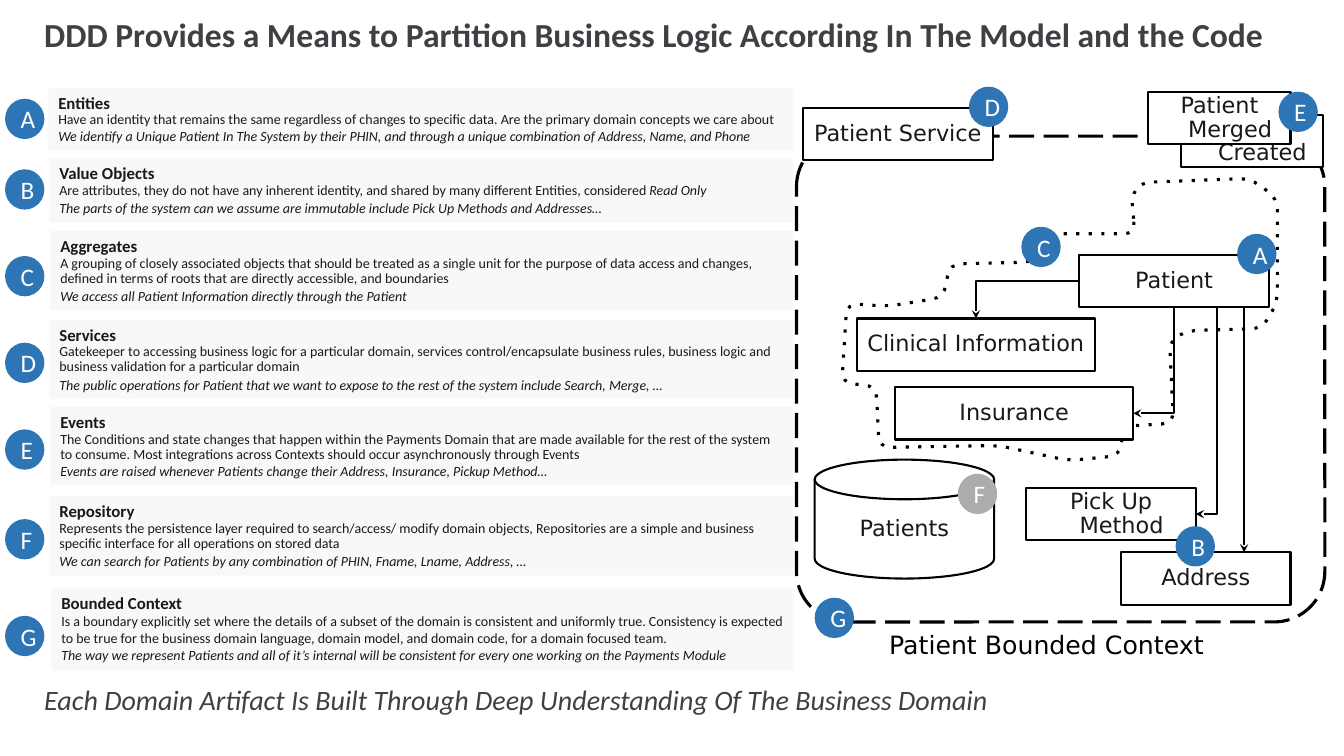
import dataclasses
import math

import pptx
import pptx.util
import pptx.dml.color
import pptx.enum.dml
import pptx.enum.shapes
import pptx.enum.text
import pptx.oxml.ns
from lxml import etree

Inches = pptx.util.Inches
Pt = pptx.util.Pt
RGBColor = pptx.dml.color.RGBColor
Shape = pptx.enum.shapes.MSO_SHAPE
Connector = pptx.enum.shapes.MSO_CONNECTOR
Dash = pptx.enum.dml.MSO_LINE
Anchor = pptx.enum.text.MSO_ANCHOR
Align = pptx.enum.text.PP_ALIGN
qn = pptx.oxml.ns.qn

WHITE = RGBColor(0xFF, 0xFF, 0xFF)
BLACK = RGBColor(0, 0, 0)
INK = RGBColor(0x19, 0x19, 0x19)
SLATE = RGBColor(0x3E, 0x40, 0x43)
PALE = RGBColor(0xF8, 0xF8, 0xF8)
BLUE = RGBColor(0x2E, 0x75, 0xB5)
GREY = RGBColor(0xAE, 0xAB, 0xAB)
BODY_FONT = "Calibri"
DIAGRAM_FONT = "DejaVu Sans"
CARD_RIGHT = 7.87
CORNER_RADIUS = 0.12
CURVE_STEPS = 4


@dataclasses.dataclass
class Card:
    letter: str
    badge_top: float
    left: float
    top: float
    height: float
    heading: str
    body: str
    note: str
    emphasis: str = ""
    body_spacing: float = 0.9
    note_spacing: float = 1.0
    note_before: int = 1


@dataclasses.dataclass
class Node:
    text: str
    left: float
    top: float
    width: float
    height: float = 0.52
    kind: Shape = Shape.RECTANGLE

    def at(self, across, down):
        return self.left + across * self.width, self.top + down * self.height


CARDS = [
    Card("A", 0.98, 0.48, 0.87, 0.62, "Entities",
         "Have an identity that remains the same regardless of changes to specific data. Are the primary domain concepts we care about",
         "We identify a Unique Patient In The System by their PHIN, and through a unique combination of Address, Name, and Phone",
         note_spacing=0.9),
    Card("B", 1.68, 0.49, 1.57, 0.64, "Value Objects",
         "Are attributes, they do not have any inherent identity, and shared by many different Entities, considered ",
         "The parts of the system can we assume are immutable include Pick Up Methods and Addresses…",
         emphasis="Read Only"),
    Card("C", 2.54, 0.5, 2.29, 0.79, "Aggregates",
         "A grouping of closely associated objects that should be treated as a single unit for the purpose of data access and changes, defined in terms of roots that are directly accessible, and boundaries",
         "We access all Patient Information directly through the Patient"),
    Card("D", 3.4, 0.49, 3.17, 0.79, "Services",
         "Gatekeeper to accessing business logic for a particular domain, services control/encapsulate business rules, business logic and business validation for a particular domain",
         "The public operations for Patient that we want to expose to the rest of the system include Search, Merge, …"),
    Card("E", 4.26, 0.5, 4.04, 0.77, "Events",
         "The Conditions and state changes that happen within the Payments Domain that are made available for the rest of the system to consume. Most integrations across Contexts should occur asynchronously through Events",
         "Events are raised whenever Patients change their Address, Insurance, Pickup Method…",
         note_spacing=0.9),
    Card("F", 5.15, 0.49, 4.92, 0.79, "Repository",
         "Represents the persistence layer required to search/access/ modify domain objects, Repositories are a simple and business specific interface for all operations on stored data",
         "We can search for Patients by any combination of PHIN, Fname, Lname, Address, …"),
    Card("G", 6.11, 0.51, 5.83, 0.82, "Bounded Context",
         "Is a boundary explicitly set where the details of a subset of the domain is consistent and uniformly true. Consistency is expected to be true for the business domain language, domain model, and domain code, for a domain focused team.",
         "The way we represent Patients and all of it’s internal will be consistent for every one working on the Payments Module",
         body_spacing=1.0, note_before=0),
]

PATIENT = Node("Patient", 10.7, 2.53, 1.89)
PICK_UP = Node("Pick Up Method", 10.18, 4.84, 1.68)
ADDRESS = Node("Address", 11.12, 5.48, 1.68)
CLINICAL = Node("Clinical Information", 8.5, 3.16, 2.36)
INSURANCE = Node("Insurance", 8.88, 3.84, 2.36)
SERVICE = Node("Patient Service", 7.96, 1.07, 1.89)
CREATED = Node("Patient Created", 11.71, 1.14, 1.41)
MERGED = Node("Patient Merged", 11.39, 0.91, 1.41)
STORE = Node("Patients", 8.08, 4.56, 1.78, 1.18, Shape.FLOWCHART_MAGNETIC_DISK)
NODES = [PATIENT, PICK_UP, ADDRESS, CLINICAL, INSURANCE, SERVICE, CREATED, MERGED, STORE]

DIAGRAM_BADGES = [("A", 12.27, 2.32), ("B", 11.66, 5.22), ("C", 10.13, 2.25), ("D", 9.61, 0.86),
                  ("E", 12.68, 0.91), ("F", 9.5, 4.7), ("G", 8.08, 5.93)]

STEPS_DOWN_LEFT = [(11.26, 2.32), (10.4, 2.32), (10.26, 2.6), (9.42, 2.62), (9.36, 2.95), (8.8, 3.04), (8.4, 3.01)]
AROUND_INSURANCE = [(8.35, 3.8), (8.69, 3.83), (8.72, 4.44), (9.9, 4.42), (10.6, 4.57), (11.11, 4.52)]
UP_TO_PATIENT = [(11.14, 4.23), (11.64, 4.2), (11.6, 3.38), (11.78, 3.28)]
AROUND_PATIENT = [(12.52, 3.26), (12.67, 3), (12.67, 1.97), (12.4, 1.77), (11.32, 1.81), (11.22, 1.95)]
AGGREGATE_CORNERS = STEPS_DOWN_LEFT + AROUND_INSURANCE + UP_TO_PATIENT + AROUND_PATIENT


def toward(corner, neighbour):
    share = min(0.5, CORNER_RADIUS / math.dist(corner, neighbour))
    return tuple(a + share * (b - a) for a, b in zip(corner, neighbour))


def round_corners(corners):
    points = []
    for index, corner in enumerate(corners):
        entry = toward(corner, corners[index - 1])
        leave = toward(corner, corners[(index + 1) % len(corners)])
        for step in range(CURVE_STEPS + 1):
            t = step / CURVE_STEPS
            points.append(tuple(Inches((1 - t) ** 2 * a + 2 * t * (1 - t) * b + t ** 2 * c)
                                for a, b, c in zip(entry, corner, leave)))
    return points


def add_span(para, text, font, size, color, bold=False, italic=False):
    span = para.add_run()
    span.text = text
    span.font.name, span.font.size = font, Pt(size)
    span.font.color.rgb = color
    span.font.bold, span.font.italic = bold, italic


def paint(shape, fill, line_width=0, dash=None):
    shape.shadow.inherit = False
    shape.fill.solid()
    shape.fill.fore_color.rgb = fill
    if not line_width:
        shape.line.fill.background()
        return
    shape.line.color.rgb = BLACK
    shape.line.width = Pt(line_width)
    shape.line.dash_style = dash


def add_block(page, kind, place, fill, line_width=0, dash=None):
    block = page.shapes.add_shape(kind, *map(Inches, place))
    paint(block, fill, line_width, dash)
    return block


def grow_frame(box):
    frame = box.text_frame
    frame.word_wrap = True
    frame.auto_size = pptx.enum.text.MSO_AUTO_SIZE.SHAPE_TO_FIT_TEXT
    frame.vertical_anchor = Anchor.TOP
    return frame


def center_hanging(para):
    para.alignment = Align.CENTER
    para.line_spacing = 0.9
    properties = para._p.get_or_add_pPr()
    properties.set("marL", str(Inches(0.21)))
    properties.set("indent", str(Inches(-0.21)))


def add_caption(page, place, text, font, size, color, bold=False, italic=False):
    para = grow_frame(page.shapes.add_textbox(*map(Inches, place))).paragraphs[0]
    para.line_spacing = 0.9
    add_span(para, text, font, size, color, bold, italic)
    return para


def add_card(page, card):
    place = (card.left, card.top, CARD_RIGHT - card.left, card.height)
    frame = grow_frame(add_block(page, Shape.RECTANGLE, place, PALE))
    title, detail, example = frame.paragraphs[0], frame.add_paragraph(), frame.add_paragraph()
    for para in (title, detail, example):
        para.alignment = Align.LEFT
    add_span(title, card.heading, BODY_FONT, 12, INK, bold=True)
    detail.line_spacing = card.body_spacing
    add_span(detail, card.body, BODY_FONT, 10, INK)
    if card.emphasis:
        add_span(detail, card.emphasis, BODY_FONT, 10, INK, italic=True)
    example.line_spacing = card.note_spacing
    example.space_before = Pt(card.note_before)
    add_span(example, card.note, BODY_FONT, 10, INK, italic=True)


def add_node(page, node):
    frame = add_block(page, node.kind, (*node.at(0, 0), node.width, node.height), WHITE, 1.5).text_frame
    frame.margin_left = frame.margin_right = frame.margin_top = frame.margin_bottom = 0
    frame.word_wrap = True
    frame.vertical_anchor = Anchor.MIDDLE
    center_hanging(frame.paragraphs[0])
    add_span(frame.paragraphs[0], node.text, DIAGRAM_FONT, 16, INK)


def add_badge(page, letter, left, top, fill=BLUE):
    frame = add_block(page, Shape.OVAL, (left, top, 0.39, 0.4), fill).text_frame
    frame.vertical_anchor = Anchor.MIDDLE
    frame.paragraphs[0].alignment = Align.CENTER
    add_span(frame.paragraphs[0], letter, BODY_FONT, 18, WHITE)


def add_arrow(page, kind, start, end):
    arrow = page.shapes.add_connector(kind, *map(Inches, start + end))
    arrow.line.color.rgb = BLACK
    arrow.line.width = Pt(1.5)
    etree.SubElement(arrow.line._get_or_add_ln(), qn("a:tailEnd"), type="stealth")
    properties = arrow._element.spPr
    etree.SubElement(properties, qn("a:effectLst"))
    if kind == Connector.ELBOW:
        properties.find(qn("a:prstGeom")).set("prst", "bentConnector2")
    return arrow


def add_down_left_arrow(page, start, end):
    run, drop = start[0] - end[0], end[1] - start[1]
    left = (start[0] + end[0] - drop) / 2
    top = (start[1] + end[1] - run) / 2
    add_arrow(page, Connector.ELBOW, (left, top), (left + drop, top + run)).rotation = 90


def add_aggregate_outline(page):
    first, *others = round_corners(AGGREGATE_CORNERS)
    builder = page.shapes.build_freeform(*first)
    builder.add_line_segments(others, close=True)
    outline = builder.convert_to_shape()
    paint(outline, WHITE, 2.25, Dash.ROUND_DOT)
    outline.line._get_or_add_ln().find(qn("a:prstDash")).set("val", "dot")


def add_diagram(page):
    boundary = add_block(page, Shape.ROUNDED_RECTANGLE, (7.9, 1.35, 5.24, 4.82), WHITE, 2.25, Dash.LONG_DASH)
    boundary.adjustments[0] = 0.104
    add_aggregate_outline(page)
    for node in NODES:
        add_node(page, node)
    patient_bottom = PATIENT.at(0, 1)[1]
    add_arrow(page, Connector.STRAIGHT, (12.34, patient_bottom), (12.34, ADDRESS.top))
    add_arrow(page, Connector.ELBOW, PATIENT.at(0, 0.5), CLINICAL.at(0.5, 0))
    add_down_left_arrow(page, (12.07, patient_bottom), PICK_UP.at(1, 0.5))
    add_down_left_arrow(page, PATIENT.at(0.5, 1), INSURANCE.at(1, 0.5))
    for letter, left, top in DIAGRAM_BADGES:
        add_badge(page, letter, left, top, GREY if letter == "F" else BLUE)
    center_hanging(add_caption(page, (7.96, 6.23, 4.84, 0.37), "Patient Bounded Context", DIAGRAM_FONT, 18, BLACK))


def main():
    deck = pptx.Presentation()
    deck.slide_width, deck.slide_height = Inches(13.33), Inches(7.5)
    page = deck.slides.add_slide(deck.slide_layouts[6])
    add_caption(page, (0.34, 0.13, 12.85, 0.46),
                "DDD Provides a Means to Partition Business Logic According In The Model and the Code",
                BODY_FONT, 24, SLATE, bold=True)
    for card in CARDS:
        add_card(page, card)
        add_badge(page, card.letter, 0.05, card.badge_top)
    add_diagram(page)
    add_caption(page, (0.34, 6.76, 12.85, 0.4),
                "Each Domain Artifact Is Built Through Deep Understanding Of The Business Domain",
                BODY_FONT, 20, SLATE, italic=True)
    deck.save("out.pptx")


if __name__ == "__main__":
    main()
